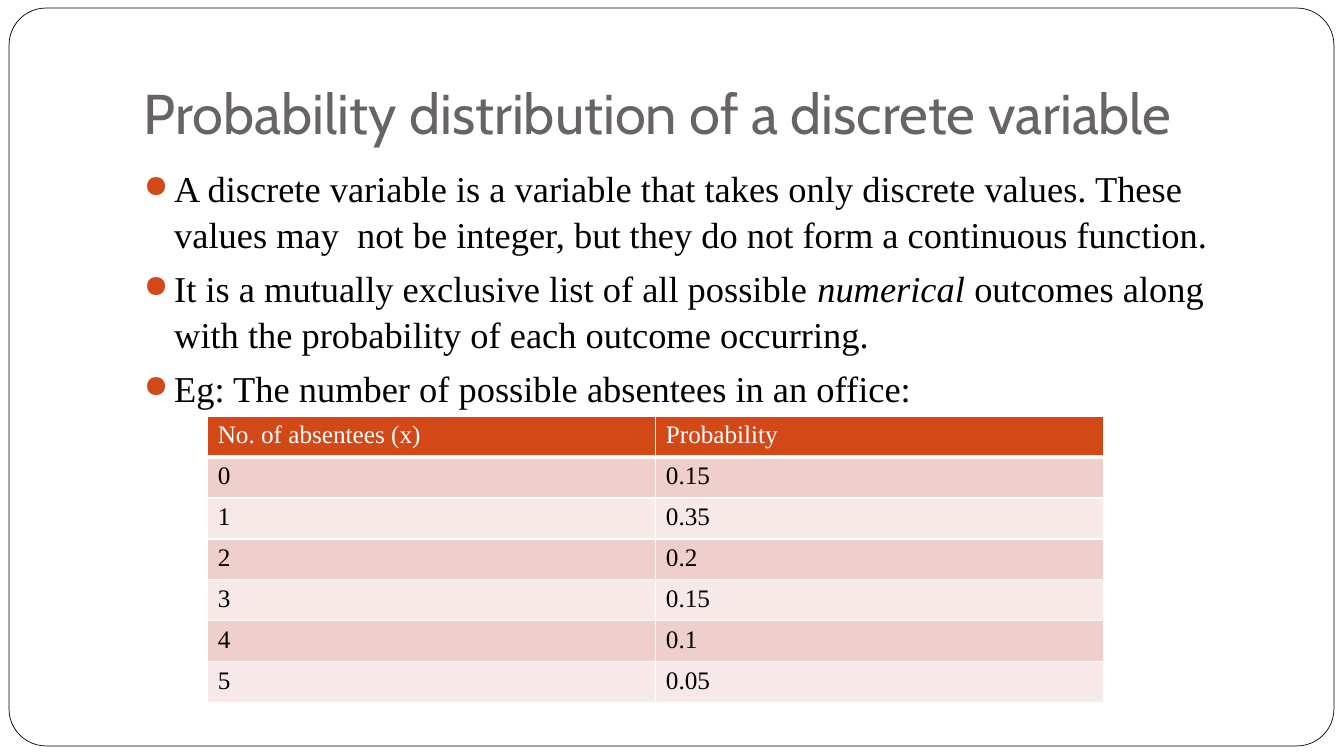
from dataclasses import dataclass

import lxml.etree
import pptx
import pptx.dml.color
import pptx.enum.shapes
import pptx.enum.text
import pptx.oxml.ns
import pptx.util

Inches = pptx.util.Inches
Pt = pptx.util.Pt
qn = pptx.oxml.ns.qn


def rgb(code):
    return pptx.dml.color.RGBColor.from_string(code)


def add_xml(parent, tag, **attributes):
    return lxml.etree.SubElement(parent, qn(tag), attributes)


@dataclass(frozen=True)
class Theme:
    white: str = "FFFFFF"
    black: str = "000000"
    title_color: str = "696464"
    accent: str = "D34817"
    bands: tuple = ("EFCFCC", "F7E9E8")
    title_font: str = "Cabin"
    body_font: str = "Times New Roman"
    title_size: int = 40
    body_size: int = 26
    table_size: int = 18


class SlideBuilder:
    def __init__(self, slide, theme):
        self.slide = slide
        self.theme = theme

    def style(self, para, face, size, color):
        para.font.name = face
        para.font.size = Pt(size)
        para.font.color.rgb = rgb(color)

    def frame(self, left, top, width, height):
        """Rounded outline around the whole page."""
        shape = self.slide.shapes.add_shape(
            pptx.enum.shapes.MSO_SHAPE.ROUNDED_RECTANGLE,
            Inches(left), Inches(top), Inches(width), Inches(height))
        shape.adjustments[0] = 0.05
        shape.shadow.inherit = False
        shape.fill.solid()
        shape.fill.fore_color.rgb = rgb(self.theme.white)
        shape.line.color.rgb = rgb(self.theme.black)
        shape.line.width = Pt(0.5)

    def text_box(self, left, top, width, height):
        box = self.slide.shapes.add_textbox(
            Inches(left), Inches(top), Inches(width), Inches(height))
        box.text_frame.word_wrap = True
        return box.text_frame

    def title(self, text, *place):
        text_frame = self.text_box(*place)
        text_frame.vertical_anchor = pptx.enum.text.MSO_ANCHOR.BOTTOM
        text_frame.margin_bottom = Inches(0.1)
        para = text_frame.paragraphs[0]
        para.text = text
        self.style(para, self.theme.title_font, self.theme.title_size,
                   self.theme.title_color)

    def bullets(self, items, *place):
        """Each item is a list of (text, italic) spans."""
        text_frame = self.text_box(*place)
        for index, spans in enumerate(items):
            para = text_frame.add_paragraph() if index else text_frame.paragraphs[0]
            para.line_spacing = 1.05
            if index:
                para.space_before = Pt(5.8)
            self.bullet(para)
            self.style(para, self.theme.body_font, self.theme.body_size,
                       self.theme.black)
            for text, italic in spans:
                span = para.add_run()
                span.text = text
                if italic:
                    span.font.italic = True

    def bullet(self, para):
        properties = para._p.get_or_add_pPr()
        properties.set("marL", str(Inches(0.3)))
        properties.set("indent", str(Inches(-0.3)))
        color = add_xml(properties, "a:buClr")
        add_xml(color, "a:srgbClr", val=self.theme.accent)
        add_xml(properties, "a:buSzPct", val="85000")
        add_xml(properties, "a:buChar", char="●")

    def table(self, rows, left, top, width, height):
        table = self.slide.shapes.add_table(
            len(rows), len(rows[0]), Inches(left), Inches(top),
            Inches(width), Inches(height)).table
        for row_index, values in enumerate(rows):
            header = row_index == 0
            fill = self.theme.accent if header else self.theme.bands[(row_index - 1) % 2]
            color = self.theme.white if header else self.theme.black
            for column_index, value in enumerate(values):
                cell = table.cell(row_index, column_index)
                para = cell.text_frame.paragraphs[0]
                para.text = value
                para.font.bold = False
                self.style(para, self.theme.body_font, self.theme.table_size, color)
                self.borders(cell, bottom=3 if header else 1)
                cell.fill.solid()
                cell.fill.fore_color.rgb = rgb(fill)

    def borders(self, cell, bottom):
        properties = cell._tc.get_or_add_tcPr()
        for side, points in (("L", 1), ("R", 1), ("T", 1), ("B", bottom)):
            line = add_xml(properties, f"a:ln{side}", w=str(Pt(points)))
            solid = add_xml(line, "a:solidFill")
            add_xml(solid, "a:srgbClr", val=self.theme.white)


def main():
    deck = pptx.Presentation()
    deck.slide_width = Inches(13.33)
    deck.slide_height = Inches(7.5)
    page = SlideBuilder(deck.slides.add_slide(deck.slide_layouts[6]), Theme())

    page.frame(0.09, 0.08, 13.14, 7.32)
    page.title("Probability distribution of a discrete variable",
               1.33, 0.3, 11.33, 1.25)
    page.bullets([
        [("A discrete variable is a variable that takes only discrete values. "
          "These values may  not be integer, but they do not form a "
          "continuous function.", False)],
        [("It is a mutually exclusive list of all possible ", False),
         ("numerical ", True),
         ("outcomes along with the probability of each outcome occurring.", False)],
        [("Eg: The number of possible absentees in an office:", False)],
    ], 1.33, 1.58, 11.33, 5)

    probabilities = ["0.15", "0.35", "0.2", "0.15", "0.1", "0.05"]
    rows = [("No. of absentees (x)", "Probability")]
    rows += [(str(count), chance) for count, chance in enumerate(probabilities)]
    page.table(rows, 2.06, 4.13, 8.89, 2.84)

    deck.save("out.pptx")


if __name__ == "__main__":
    main()
